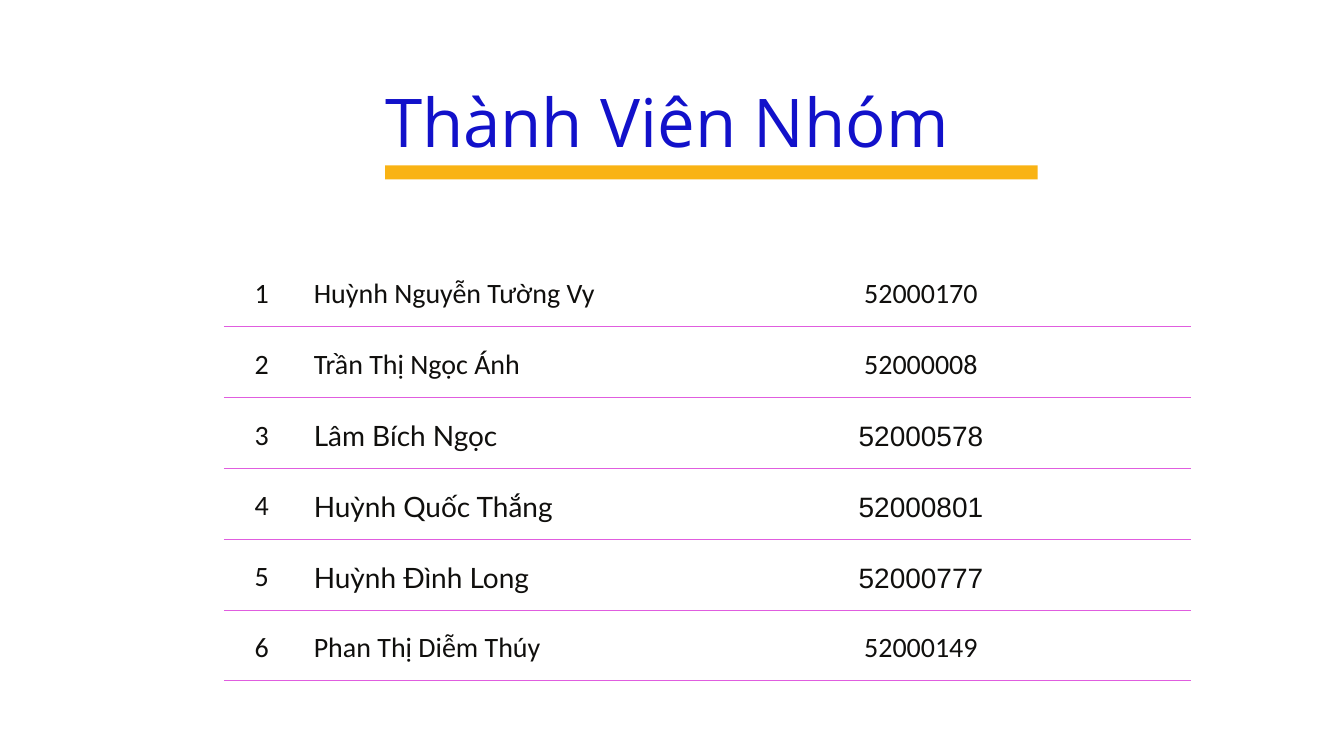
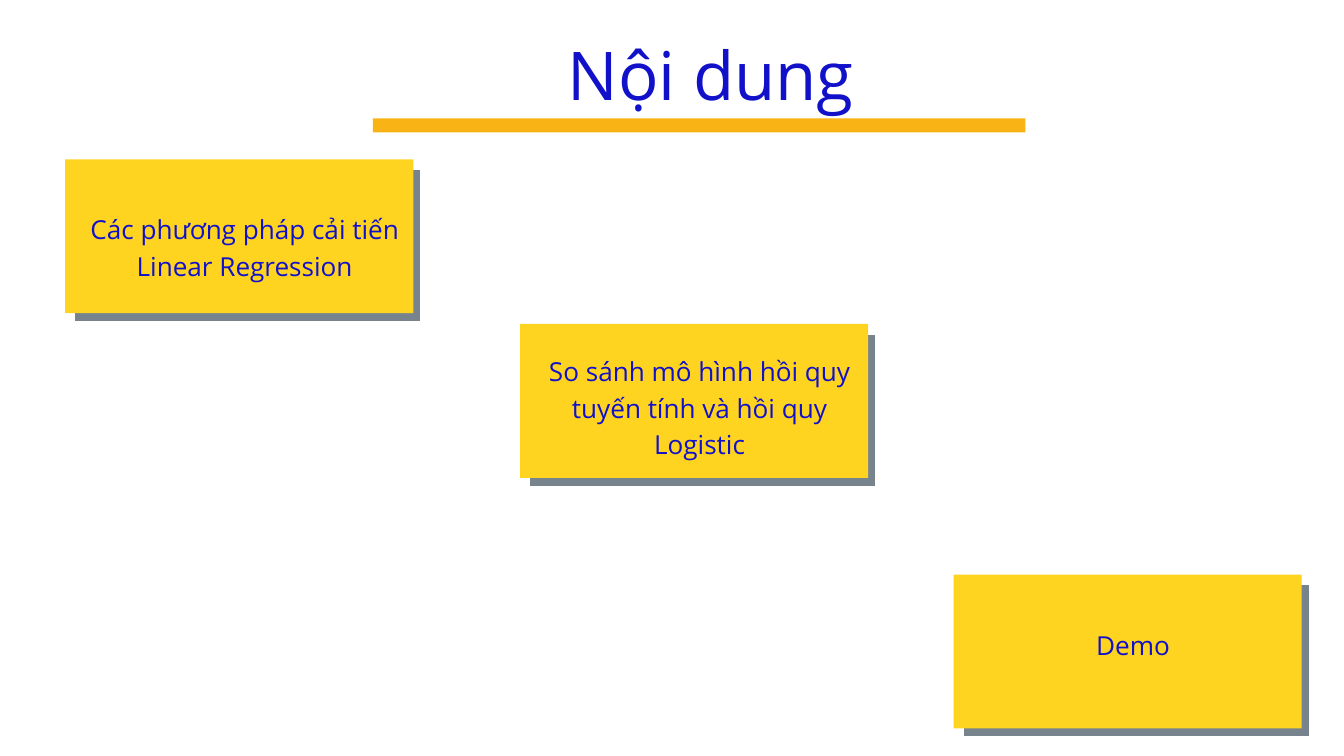
"""Build the team and contents slides."""
from lxml.etree import SubElement
from pptx import Presentation
from pptx.dml.color import RGBColor
from pptx.enum.shapes import MSO_SHAPE as Shape
from pptx.enum.text import MSO_ANCHOR as Anchor, MSO_AUTO_SIZE as Auto, PP_ALIGN as Align
from pptx.oxml.ns import qn
from pptx.util import Inches, Pt

BLUE, GOLD, YELLOW = "1211CA", "F9B314", "FED420"
GREY, WHITE, PINK, INK = "77838D", "FFFFFF", "E05DDF", "100F0D"


def paint(item, color):
    """Give a fill, line or font one solid colour."""
    if hasattr(item, "solid"):
        item.solid()
        item.fore_color.rgb = RGBColor.from_string(color)
    else:
        item.color.rgb = RGBColor.from_string(color)


def add_rect(slide, left, top, width, height, color):
    """Add a plain rectangle without outline or shadow."""
    rect = slide.shapes.add_shape(
        Shape.RECTANGLE, Inches(left), Inches(top), Inches(width), Inches(height))
    rect.shadow.inherit = False
    paint(rect.fill, color)
    rect.line.fill.background()
    return rect


deck = Presentation()
deck.slide_width, deck.slide_height = Inches(20), Inches(11.25)

slides = []
for words, left, top, align in [
    ("Thành Viên Nhóm", 5.73, 1.46, Align.LEFT),
    ("Nội dung", 5.55, 0.76, Align.CENTER),
]:
    slide = deck.slides.add_slide(deck.slide_layouts[5])
    paint(slide.background.fill, WHITE)
    bar = add_rect(slide, left, top + 1, 9.71, 0.21, GOLD)
    title = slide.shapes.title
    bar._element.addnext(title._element)
    title.left, title.top = Inches(left), Inches(top)
    title.width, title.height = Inches(10.05), Inches(1)
    frame = title.text_frame
    frame.text = words
    frame.word_wrap, frame.auto_size = True, Auto.NONE
    frame.vertical_anchor = Anchor.TOP
    frame.margin_left = frame.margin_right = frame.margin_top = frame.margin_bottom = 0
    para = frame.paragraphs[0]
    para.alignment, para.line_spacing = align, Pt(67.7)
    para.font.name, para.font.size = "Open Sans", Pt(72)
    paint(para.font, BLUE)
    slides.append(slide)
team, plan = slides

CALIBRI, MIXED = ("Calibri", "Calibri"), ("Lato", "Arial")
members = [
    ("Huỳnh Nguyễn Tường Vy", "52000170", CALIBRI),
    ("Trần Thị Ngọc Ánh", "52000008", CALIBRI),
    ("Lâm Bích Ngọc", "52000578", MIXED),
    ("Huỳnh Quốc Thắng", "52000801", MIXED),
    ("Huỳnh Đình Long", "52000777", MIXED),
    ("Phan Thị Diễm Thúy", "52000149", CALIBRI),
]
table = team.shapes.add_table(
    len(members), 3, Inches(3.33), Inches(3.81), Inches(14.4), Inches(6.32)).table
table.first_row = table.horz_banding = False
for col, width in zip(table.columns, (1.13, 5.22, 8.05)):
    col.width = Inches(width)
for num, (name, code, fonts) in enumerate(members):
    table.rows[num].height = Inches(6.32 / len(members))
    cells = zip(table.rows[num].cells, (str(num + 1), name, code),
                ("Calibri", *fonts), (Align.CENTER, Align.LEFT, Align.CENTER))
    for cell, words, font, align in cells:
        cell.text = words
        cell.vertical_anchor = Anchor.MIDDLE
        cell.margin_left = cell.margin_right = Inches(0.21)
        cell.margin_top = cell.margin_bottom = Inches(0.21)
        para = cell.text_frame.paragraphs[0]
        para.alignment, para.line_spacing = align, Pt(42)
        para.font.name, para.font.size = font, Pt(30)
        paint(para.font, INK)
        props = cell._tc.get_or_add_tcPr()
        for side in "LRTB":
            edge = SubElement(props, qn(f"a:ln{side}"), w=str(Pt(0.75)))
            if side == "B" or (side == "T" and num):
                fill = SubElement(edge, qn("a:solidFill"))
                SubElement(fill, qn("a:srgbClr"), val=PINK)
            else:
                SubElement(edge, qn("a:noFill"))
        cell.fill.background()

for words, left, top, inset in [
    ("Các phương pháp cải tiến Linear Regression", 0.97, 2.37, 0.73),
    ("So sánh mô hình hồi quy tuyến tính và hồi quy Logistic", 7.74, 4.82, 0.39),
    ("Demo", 14.19, 8.55, 0.74),
]:
    shade = add_rect(plan, left + 0.13, top + 0.14, 5.18, 2.29, GREY)
    paint(shade.line, WHITE)
    shade.line.width = Pt(3.2)
    card = add_rect(plan, left, top, 5.18, 2.29, YELLOW)
    frame = card.text_frame
    frame.text = words
    frame.word_wrap, frame.vertical_anchor = True, Anchor.TOP
    frame.margin_left, frame.margin_right = Inches(0.2), Inches(0.04)
    frame.margin_top, frame.margin_bottom = Inches(inset), 0
    para = frame.paragraphs[0]
    para.alignment, para.line_spacing = Align.CENTER, Pt(39.2)
    para.font.name, para.font.size = "Open Sans", Pt(28)
    paint(para.font, BLUE)

deck.save("out.pptx")
